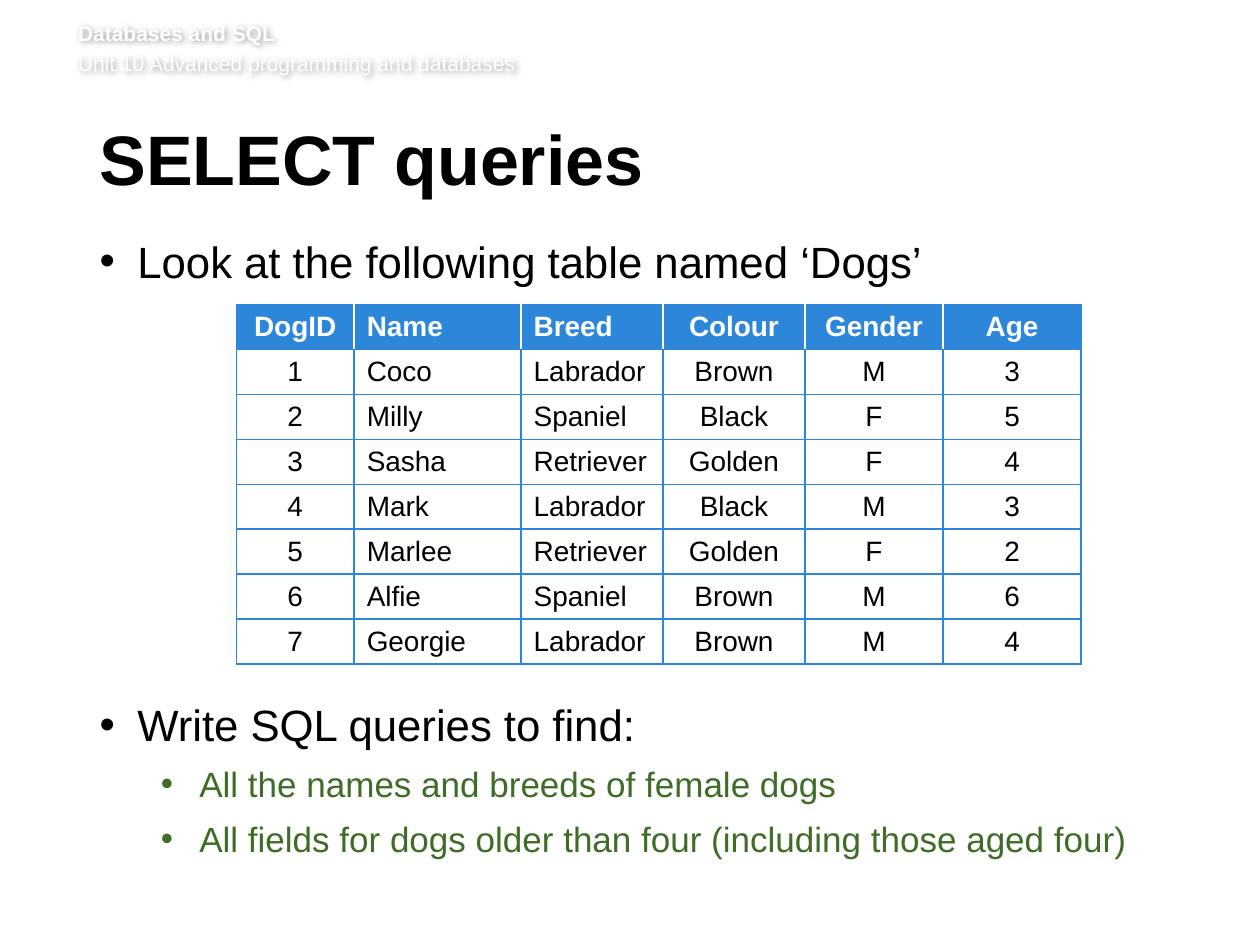
from dataclasses import dataclass
from typing import Any

from lxml import etree
from pptx import Presentation
from pptx import util as u
from pptx.dml.color import RGBColor
from pptx.enum import text
from pptx.oxml import ns

Pt = u.Pt
WHITE = RGBColor(0xFF, 0xFF, 0xFF)
BLACK = RGBColor(0, 0, 0)
BLUE = RGBColor(0x2C, 0x87, 0xDA)
GREEN = RGBColor(0x3F, 0x6C, 0x27)
FONT = "Arial"
LEFT, CENTER = text.PP_ALIGN.LEFT, text.PP_ALIGN.CENTER


@dataclass
class Line:
    words: str
    size: float
    color: RGBColor = BLACK
    bold: bool = False
    before: float = 0
    after: float = 0
    spacing: Any = 1.0
    align: Any = LEFT
    level: int = 0
    bullet: bool = False
    indent: float = 0
    hanging: float = 0


@dataclass
class Column:
    width: float
    align: Any


HEADER = [
    Line("Databases and SQL", 12, WHITE, True),
    Line("Unit 10 Advanced programming and databases", 12, WHITE, before=2.9),
]
TITLE = [Line("SELECT queries", 40, bold=True, spacing=Pt(39))]
BODY = [
    Line("Look at the following table named ‘Dogs’", 25,
         bullet=True, indent=21.6, hanging=21.6),
    Line("Write SQL queries to find:", 25, before=235, after=6,
         bullet=True, indent=21.6, hanging=21.6),
    Line("All the names and breeds of female dogs", 20, GREEN, before=1, after=6,
         level=1, bullet=True, indent=57, hanging=22),
    Line("All fields for dogs older than four (including those aged four)", 20, GREEN,
         before=1, level=1, bullet=True, indent=57, hanging=22),
]
COLUMNS = [Column(67.4, CENTER), Column(95.4, LEFT), Column(81.1, LEFT),
           Column(81.1, CENTER), Column(78.9, CENTER), Column(78.9, CENTER)]
DOGS = [
    ("DogID", "Name", "Breed", "Colour", "Gender", "Age"),
    ("1", "Coco", "Labrador", "Brown", "M", "3"),
    ("2", "Milly", "Spaniel", "Black", "F", "5"),
    ("3", "Sasha", "Retriever", "Golden", "F", "4"),
    ("4", "Mark", "Labrador", "Black", "M", "3"),
    ("5", "Marlee", "Retriever", "Golden", "F", "2"),
    ("6", "Alfie", "Spaniel", "Brown", "M", "6"),
    ("7", "Georgie", "Labrador", "Brown", "M", "4"),
]
ROW_HEIGHT = 25.7


def apply(target: Any, values: dict[str, Any]) -> None:
    for name, value in values.items():
        setattr(target, name, value)


def add_element(parent: Any, tag: str, **attributes: Any) -> Any:
    values = {name: str(value) for name, value in attributes.items()}
    return etree.SubElement(parent, ns.qn(tag), values)


def write_lines(frame: Any, lines: list[Line]) -> None:
    for index, line in enumerate(lines):
        para = frame.add_paragraph() if index else frame.paragraphs[0]
        if line.bullet:
            properties = para._p.get_or_add_pPr()
            properties.set("marL", str(Pt(line.indent)))
            properties.set("indent", str(-Pt(line.hanging)))
            add_element(properties, "a:buFont", typeface=FONT)
            add_element(properties, "a:buChar", char="•")
        apply(para, {"level": line.level, "alignment": line.align,
                     "space_before": Pt(line.before), "space_after": Pt(line.after),
                     "line_spacing": line.spacing})
        span = para.add_run()
        span.text = line.words
        apply(span.font, {"name": FONT, "size": Pt(line.size), "bold": line.bold})
        span.font.color.rgb = line.color


def fill_box(box: Any, place: tuple[float, ...], insets: tuple[float, ...],
             lines: list[Line]) -> None:
    apply(box, dict(zip(("left", "top", "width", "height"), map(Pt, place))))
    frame = box.text_frame
    sides = ("margin_left", "margin_top", "margin_right", "margin_bottom")
    apply(frame, dict(zip(sides, map(Pt, insets))))
    apply(frame, {"word_wrap": True, "auto_size": text.MSO_AUTO_SIZE.NONE,
                  "vertical_anchor": text.MSO_ANCHOR.TOP})
    write_lines(frame, lines)


def add_glow_shadow(box: Any) -> None:
    effects = add_element(box._element.spPr, "a:effectLst")
    shadow = add_element(effects, "a:outerShdw", blurRad=Pt(4), dist=Pt(1),
                         dir=2700000, algn="tl", rotWithShape=0)
    color = add_element(shadow, "a:srgbClr", val=BLACK)
    add_element(color, "a:alpha", val=40000)


def add_border(cell: Any, side: str, color: RGBColor) -> None:
    edge = add_element(cell._tc.get_or_add_tcPr(), f"a:ln{side}", w=Pt(1))
    add_element(add_element(edge, "a:solidFill"), "a:srgbClr", val=color)


def add_dog_table(page: Any, left: float, top: float) -> None:
    width = sum(column.width for column in COLUMNS)
    table = page.shapes.add_table(len(DOGS), len(COLUMNS), Pt(left), Pt(top),
                                  Pt(width), Pt(ROW_HEIGHT * len(DOGS))).table
    table.horz_banding = False
    for index, column in enumerate(COLUMNS):
        table.columns[index].width = Pt(column.width)
    for row, record in enumerate(DOGS):
        table.rows[row].height = Pt(ROW_HEIGHT)
        heading = row == 0
        for index, (words, column) in enumerate(zip(record, COLUMNS)):
            cell = table.cell(row, index)
            inner = {"L": index > 0, "R": index < len(COLUMNS) - 1}
            for side in "LRTB":
                add_border(cell, side, WHITE if heading and inner.get(side) else BLUE)
            cell.fill.solid()
            cell.fill.fore_color.rgb = BLUE if heading else WHITE
            cell.vertical_anchor = text.MSO_ANCHOR.MIDDLE
            write_lines(cell.text_frame, [Line(words, 16, WHITE if heading else BLACK,
                                               heading, align=column.align)])


def main() -> None:
    deck = Presentation()
    apply(deck, {"slide_width": Pt(720), "slide_height": Pt(540)})
    page = deck.slides.add_slide(deck.slide_layouts[1])
    header = page.shapes.add_textbox(0, 0, 0, 0)
    fill_box(header, (44.6, 11.5, 635, 35.3), (0, 0, 0, 3.6), HEADER)
    add_glow_shadow(header)
    fill_box(page.shapes.title, (56.9, 71.3, 615.6, 52.6), (0, 3.6, 7.2, 3.6), TITLE)
    fill_box(page.placeholders[1], (56.9, 134, 614.2, 378), (0, 0, 7.2, 3.6), BODY)
    add_dog_table(page, 135, 174)
    deck.save("out.pptx")


if __name__ == "__main__":
    main()
